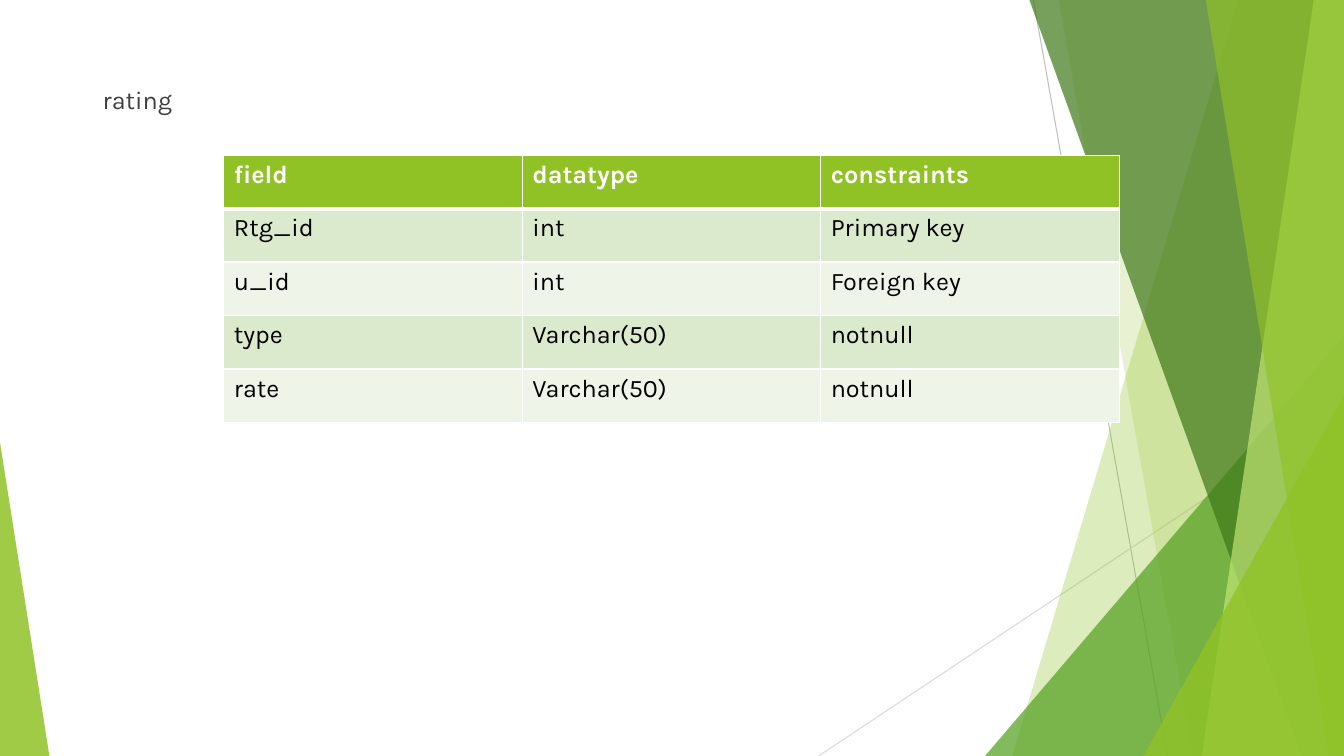
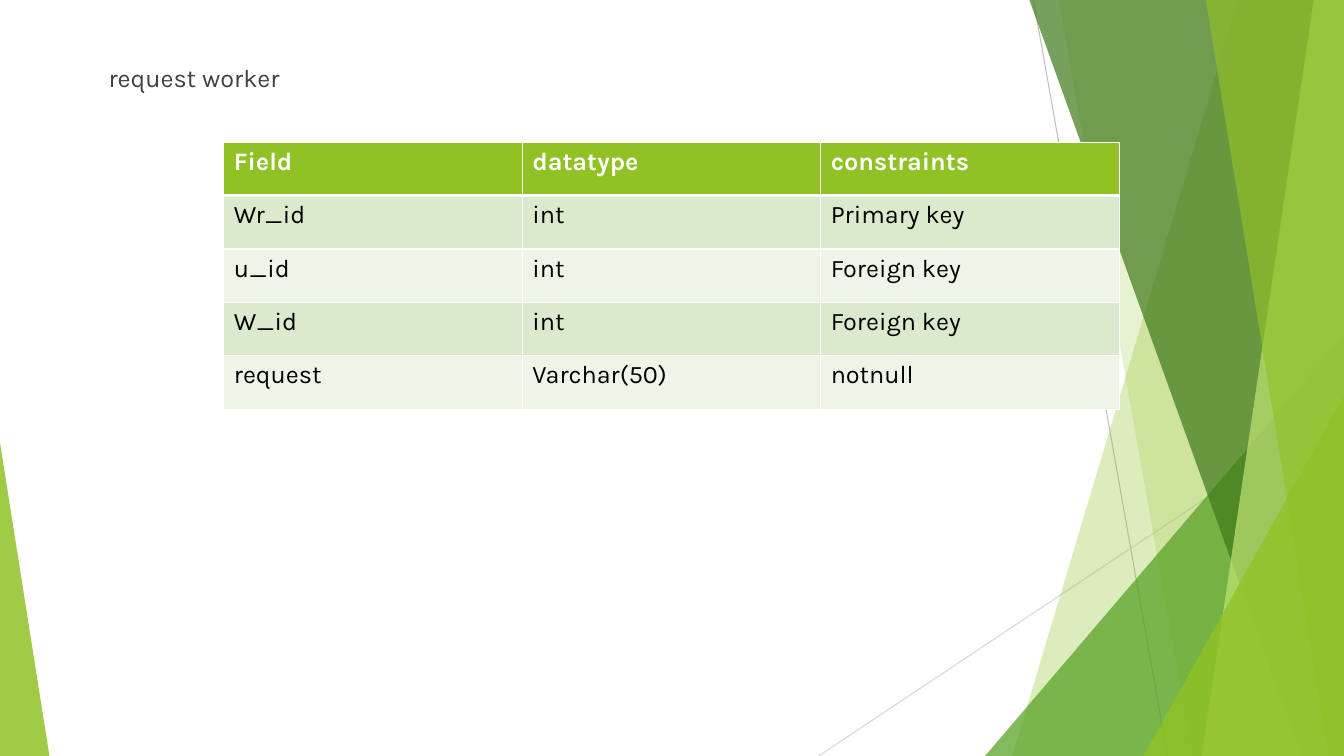
from lxml import etree
from pptx import Presentation
from pptx.dml.color import RGBColor
from pptx.enum.shapes import MSO_CONNECTOR, MSO_SHAPE
from pptx.oxml.ns import qn
from pptx.util import Inches, Pt

STRAIGHT = MSO_CONNECTOR.STRAIGHT
TRIANGLE = MSO_SHAPE.ISOSCELES_TRIANGLE

WIDTH, HEIGHT = 13.33, 7.5
FONT, SIZE = "Karla", 18
COLORS = {
    "lime": "90C226", "green": "54A021", "dark": "3F7819", "pale": "C0E474",
    "gray": "BFBFBF", "light": "D9D9D9", "text": "404040",
    "white": "FFFFFF", "black": "000000", "odd": "DBE9CD", "even": "EEF4E8",
}

# Content: title, title top, table top, rows with the header first
SLIDES = [
    ("rating", 0.79, 1.54, [
        ("field", "datatype", "constraints"),
        ("Rtg_id", "int", "Primary key"),
        ("u_id", "int", "Foreign key"),
        ("type", "Varchar(50)", "notnull"),
        ("rate", "Varchar(50)", "notnull"),
    ]),
    (" request worker", 0.57, 1.41, [
        ("Field", "datatype", "constraints"),
        ("Wr_id", "int", "Primary key"),
        ("u_id", "int", "Foreign key"),
        ("W_id", "int", "Foreign key"),
        ("request", "Varchar(50)", "notnull"),
    ]),
]
TABLE_LEFT, COL_WIDTH, ROW_HEIGHT = 2.22, 2.96, 0.53

# Backdrop: thin lines, then facets from back to front
LINES = [((10.25, 0), (11.58, HEIGHT), "gray"),
         ((WIDTH, 4.03), (8.12, HEIGHT), "light")]
# band: left edge at top and bottom, running to the right side of the slide
# corner: left, top, width, apex (0 left, 1 right), standing on the bottom
FACETS = [
    ("band", (12.28, 10.04), "lime", 30),
    ("band", (10.5, 11.83), "lime", 20),
    ("corner", (9.77, 3.33, 3.56, 1), "green", 72),
    ("band", (10.21, 12.91), "dark", 70),
    ("band", (13.03, 11.92), "pale", 70),
    ("band", (11.96, 13.18), "lime", 65),
    ("corner", (11.34, 3.93, 1.99, 1), "lime", 80),
    ("corner", (0, 4.39, 0.49, 0), "lime", 85),
]


def rgb(name):
    return RGBColor.from_string(COLORS[name])


def paint(shape, color, alpha):
    shape.shadow.inherit = False
    shape.line.fill.background()
    shape.fill.solid()
    shape.fill.fore_color.rgb = rgb(color)
    tint = shape.fill._xPr.find(f"{qn('a:solidFill')}/{qn('a:srgbClr')}")
    etree.SubElement(tint, qn("a:alpha"), val=str(alpha * 1000))


def add_band(shapes, top_x, low_x):
    points = [(WIDTH, 0), (WIDTH, HEIGHT), (low_x, HEIGHT)]
    pen = shapes.build_freeform(Inches(top_x), Inches(0))
    pen.add_line_segments([(Inches(x), Inches(y)) for x, y in points])
    return pen.convert_to_shape()


def add_corner(shapes, left, top, width, apex):
    shape = shapes.add_shape(TRIANGLE, Inches(left), Inches(top),
                             Inches(width), Inches(HEIGHT - top))
    shape.adjustments[0] = apex
    return shape


def add_backdrop(shapes):
    for start, end, color in LINES:
        line = shapes.add_connector(STRAIGHT, *map(Inches, start + end))
        line.line.color.rgb = rgb(color)
        line.line.width = Pt(0.75)
        etree.SubElement(line._element.spPr, qn("a:effectLst"))
    makers = {"band": add_band, "corner": add_corner}
    for kind, place, color, alpha in FACETS:
        paint(makers[kind](shapes, *place), color, alpha)


def add_run(para, text, color, bold=False):
    run = para.add_run()
    run.text = text
    font = run.font
    font.name, font.size, font.bold = FONT, Pt(SIZE), bold
    font.color.rgb = rgb(color)


def add_title(shapes, text, top):
    box = shapes.add_textbox(Inches(0.92), Inches(top),
                             Inches(11.5), Inches(0.5))
    box.text_frame.word_wrap = True
    para = box.text_frame.paragraphs[0]
    para.space_before = Pt(10)
    add_run(para, text, "text")


def add_borders(cell, row):
    # A thick rule parts the header from the body
    widths = {"L": 1, "R": 1, "T": 3 if row == 1 else 1,
              "B": 3 if row == 0 else 1}
    props = cell._tc.get_or_add_tcPr()
    for side, width in widths.items():
        edge = etree.SubElement(props, qn(f"a:ln{side}"), w=str(Pt(width)))
        fill = etree.SubElement(edge, qn("a:solidFill"))
        etree.SubElement(fill, qn("a:srgbClr"), val=COLORS["white"])


def add_grid(shapes, rows, top):
    count = len(rows[0])
    table = shapes.add_table(
        len(rows), count, Inches(TABLE_LEFT), Inches(top),
        Inches(COL_WIDTH * count), Inches(ROW_HEIGHT * len(rows))).table
    for col in table.columns:
        col.width = Inches(COL_WIDTH)
    for r, row in enumerate(rows):
        table.rows[r].height = Inches(ROW_HEIGHT)
        head = r == 0
        fill = "lime" if head else "odd" if r % 2 else "even"
        for c, text in enumerate(row):
            cell = table.cell(r, c)
            add_borders(cell, r)
            cell.fill.solid()
            cell.fill.fore_color.rgb = rgb(fill)
            add_run(cell.text_frame.paragraphs[0], text,
                    "white" if head else "black", head)


def main():
    deck = Presentation()
    deck.slide_width, deck.slide_height = Inches(WIDTH), Inches(HEIGHT)
    blank = deck.slide_layouts[6]
    for title, title_top, table_top, rows in SLIDES:
        shapes = deck.slides.add_slide(blank).shapes
        add_backdrop(shapes)
        add_title(shapes, title, title_top)
        add_grid(shapes, rows, table_top)
    deck.save("out.pptx")


if __name__ == "__main__":
    main()
